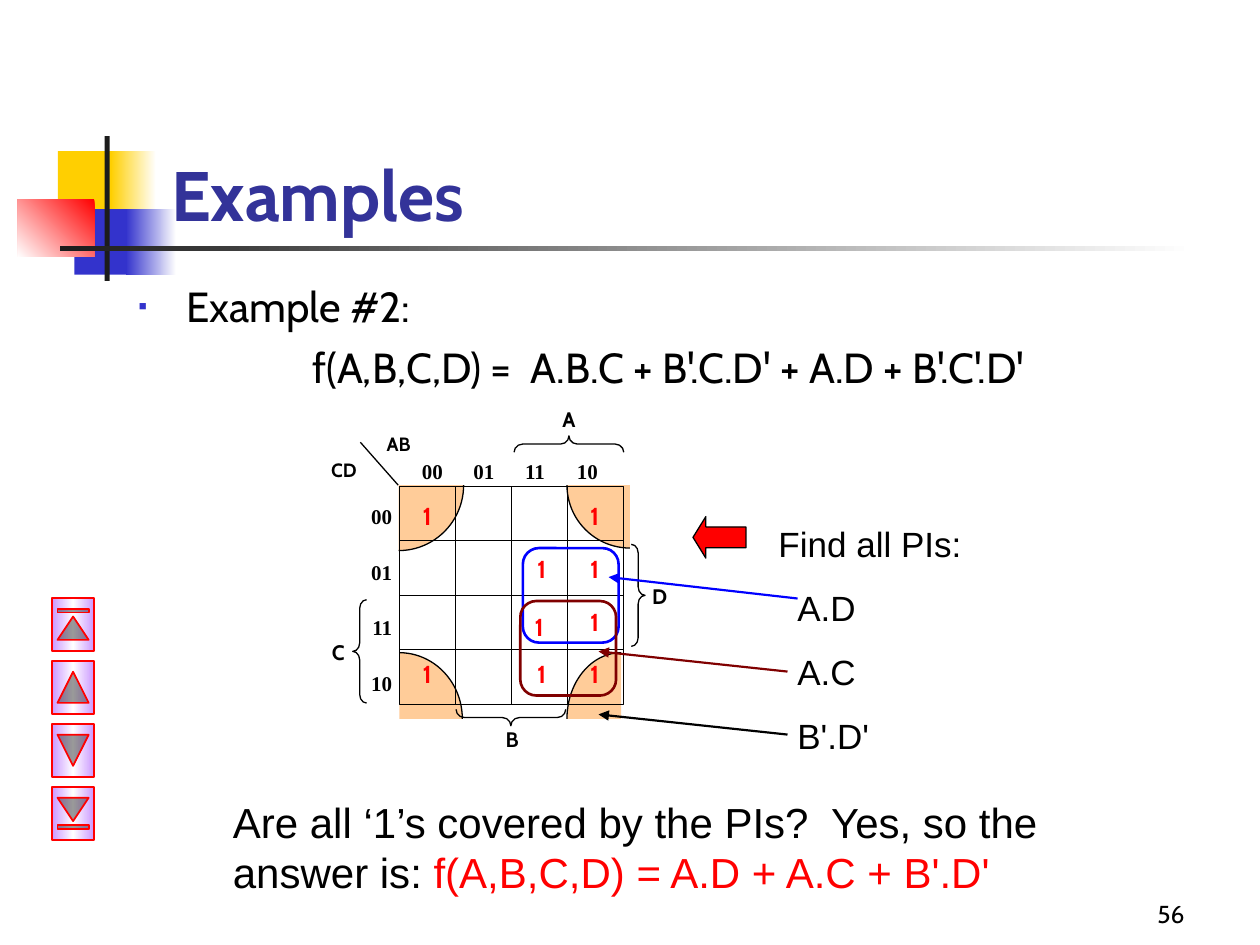
from lxml import etree
from pptx import Presentation
from pptx.dml.color import RGBColor
from pptx.enum.shapes import MSO_CONNECTOR, MSO_SHAPE
from pptx.enum.text import MSO_ANCHOR, PP_ALIGN
from pptx.oxml.ns import qn
from pptx.util import Inches, Pt

RECT, ROUNDED = MSO_SHAPE.RECTANGLE, MSO_SHAPE.ROUNDED_RECTANGLE
ARC, ARROW = MSO_SHAPE.ARC, MSO_SHAPE.LEFT_ARROW
LEFT_BRACE, RIGHT_BRACE = MSO_SHAPE.LEFT_BRACE, MSO_SHAPE.RIGHT_BRACE
NAV_BUTTONS = [MSO_SHAPE.ACTION_BUTTON_BEGINNING,
               MSO_SHAPE.ACTION_BUTTON_BACK_OR_PREVIOUS,
               MSO_SHAPE.ACTION_BUTTON_FORWARD_OR_NEXT,
               MSO_SHAPE.ACTION_BUTTON_END]
STRAIGHT = MSO_CONNECTOR.STRAIGHT
LEFT, CENTER, RIGHT = PP_ALIGN.LEFT, PP_ALIGN.CENTER, PP_ALIGN.RIGHT
TOP, BOTTOM = MSO_ANCHOR.TOP, MSO_ANCHOR.BOTTOM

BLACK, WHITE, RED, BLUE, MAROON = "000000", "FFFFFF", "FF0000", "0000FF", "800000"
INDIGO, YELLOW, DARK, PEACH, LILAC = "3333CC", "FFCF01", "1C1C1C", "FFCC99", "CC99FF"

# Karnaugh map frame
MAP_LEFT, MAP_TOP, MAP_WIDTH, MAP_HEIGHT = 3.17, 3.86, 1.78, 1.73


def color(value):
    return RGBColor.from_string(value)


def set_gradient(shape, colors, angle):
    """Spread the colours evenly, at a clockwise angle in degrees."""
    shape.fill.gradient()
    shape.fill.gradient_angle = (360 - angle) % 360
    stops = shape._element.spPr.find(qn("a:gradFill")).find(qn("a:gsLst"))
    for stop in list(stops):
        stops.remove(stop)
    for index, value in enumerate(colors):
        position = str(100000 * index // (len(colors) - 1))
        stop = etree.SubElement(stops, qn("a:gs"), pos=position)
        etree.SubElement(stop, qn("a:srgbClr"), val=value)


def add_shape(page, kind, box, fill=None, line=None, width=0.75, adjust=(), rotation=0):
    shape = page.shapes.add_shape(kind, *map(Inches, box))
    shape.shadow.inherit = False
    shape.rotation = rotation
    for index, value in enumerate(adjust):
        shape.adjustments[index] = value
    if fill:
        shape.fill.solid()
        shape.fill.fore_color.rgb = color(fill)
    else:
        shape.fill.background()
    if line:
        shape.line.color.rgb = color(line)
        shape.line.width = Pt(width)
    else:
        shape.line.fill.background()
    return shape


def add_line(page, start, end, value=BLACK, width=0.75, arrow=False):
    line = page.shapes.add_connector(STRAIGHT, *map(Inches, (*start, *end)))
    line.line.color.rgb = color(value)
    line.line.width = Pt(width)
    properties = line._element.spPr
    if arrow:
        etree.SubElement(line.line._get_or_add_ln(), qn("a:tailEnd"), type="triangle")
    etree.SubElement(properties, qn("a:effectLst"))


def add_run(para, text, size, font, value=BLACK, bold=False):
    span = para.add_run()
    span.text = text
    span.font.size = Pt(size)
    span.font.name = font
    span.font.bold = bold
    span.font.color.rgb = color(value)


def add_text(page, box, lines, size, font, value=BLACK, bold=False,
             align=LEFT, anchor=TOP, gap=0):
    """Add a text box with one paragraph a line; gap is the space between them."""
    frame = page.shapes.add_textbox(*map(Inches, box)).text_frame
    frame.word_wrap = True
    frame.vertical_anchor = anchor
    for index, text in enumerate(lines):
        para = frame.paragraphs[0] if index == 0 else frame.add_paragraph()
        para.alignment = align
        if index:
            para.space_before = Pt(gap)
        add_run(para, text, size, font, value, bold)
    return frame


def set_indent(para, left, first=0):
    properties = para._p.get_or_add_pPr()
    properties.set("marL", str(Inches(left)))
    properties.set("indent", str(Inches(first)))
    return properties


def add_bullet(properties):
    bullet_color = etree.SubElement(properties, qn("a:buClr"))
    etree.SubElement(bullet_color, qn("a:srgbClr"), val=INDIGO)
    etree.SubElement(properties, qn("a:buSzPct"), val="60000")
    etree.SubElement(properties, qn("a:buFont"), typeface="Arial")
    etree.SubElement(properties, qn("a:buChar"), char="▪")


def add_tabs(para, step, count):
    tabs = etree.SubElement(para._p.get_or_add_pPr(), qn("a:tabLst"))
    for index in range(1, count + 1):
        etree.SubElement(tabs, qn("a:tab"), pos=str(Inches(step * index)), algn="l")


def add_decoration(page):
    for box, fill, angle in [
        ((0.46, 1.2, 0.48, 0.52), [YELLOW], 0),
        ((0.88, 1.2, 0.36, 0.52), [WHITE, YELLOW], 180),
        ((0.59, 1.66, 0.46, 0.52), [INDIGO], 0),
        ((1, 1.66, 0.4, 0.52), [WHITE, INDIGO], 180),
        ((0.14, 1.58, 0.61, 0.46), [RED, WHITE], 135),
        ((0.83, 1.08, 0.04, 1.15), [DARK], 0),
        ((0.48, 1.95, 9, 0.04), [WHITE, DARK], 180),
    ]:
        block = add_shape(page, RECT, box, fill[0])
        if len(fill) > 1:
            set_gradient(block, fill, angle)


def add_navigation(page):
    for index, kind in enumerate(NAV_BUTTONS):
        box = (0.37, 4.79 + 0.5 * index, 0.42, 0.33)
        button = add_shape(page, kind, box, LILAC, RED, 1, rotation=90)
        set_gradient(button, [LILAC, WHITE, LILAC], 90)


def add_map(page):
    # Shaded corners: quarter arcs by start angle in degrees
    for box, start in [
        ((4.5, 5.18, 0.86, 1.05), 180),
        ((2.67, 5.18, 1, 1.05), 270),
        ((4.5, 3.35, 1, 1), 90),
        ((2.65, 3.33, 1.03, 1.04), 0),
    ]:
        # An arc adjustment of 0.6 is one degree
        angles = [start * 0.6, (start + 90) % 360 * 0.6]
        add_shape(page, ARC, box, PEACH, BLACK, adjust=angles)

    # Grid
    right, bottom = MAP_LEFT + MAP_WIDTH, MAP_TOP + MAP_HEIGHT
    add_shape(page, RECT, (MAP_LEFT, MAP_TOP, MAP_WIDTH, MAP_HEIGHT), line=BLACK)
    for index in range(1, 4):
        x = MAP_LEFT + MAP_WIDTH * index / 4
        y = MAP_TOP + MAP_HEIGHT * index / 4
        add_line(page, (x, MAP_TOP), (x, bottom))
        add_line(page, (MAP_LEFT, y), (right, y))
    add_line(page, (3.16, 3.85), (2.86, 3.51))

    # Braces
    for kind, box, curl, rotation in [
        (LEFT_BRACE, (2.8, 4.76, 0.11, 0.82), 0.62, 0),
        (LEFT_BRACE, (4.45, 3.09, 0.13, 0.87), 0.52, 90),
        (LEFT_BRACE, (3.99, 5.26, 0.13, 0.87), 0.52, 270),
        (RIGHT_BRACE, (5.01, 4.32, 0.11, 0.81), 0.62, 0),
    ]:
        add_shape(page, kind, box, line=BLACK, adjust=[curl, 0.5], rotation=rotation)

    # Variable names
    for text, box, size in [
        ("A", (4.35, 3.18, 0.33, 0.27), 12), ("B", (3.9, 5.72, 0.33, 0.26), 12),
        ("C", (2.52, 5.03, 0.33, 0.35), 12), ("D", (5.07, 4.58, 0.33, 0.35), 12),
        ("AB", (2.91, 3.38, 0.51, 0.29), 11), ("CD", (2.42, 3.59, 0.62, 0.29), 11),
    ]:
        add_text(page, box, [text], size, "Cabin", bold=True, align=CENTER)

    # Row and column codes
    codes = ["00", "01", "11", "10"]
    add_text(page, (2.82, 3.95, 0.39, 1.79), codes, 12, "Times New Roman",
             bold=True, align=RIGHT, gap=17.3)
    header = add_text(page, (3.25, 3.59, 1.66, 0.35), ["\t".join(codes)], 12,
                      "Times New Roman", bold=True)
    add_tabs(header.paragraphs[0], 0.41, 3)

    # Ones
    for x, y in [(3.17, 3.93), (4.5, 3.93), (4.08, 4.35), (4.5, 4.35),
                 (4.06, 4.81), (4.5, 4.77), (3.17, 5.18), (4.08, 5.18), (4.5, 5.18)]:
        add_text(page, (x, y, 0.44, 0.35), ["1"], 14, "Cabin", RED, True, CENTER)

    # Groups
    for x, y, value in [(4.15, 4.35, BLUE), (4.13, 4.77, MAROON)]:
        add_shape(page, ROUNDED, (x, y, 0.76, 0.75), line=value, width=1.5, adjust=[0.17])


def add_implicants(page):
    frame = add_text(page, (6.08, 4.1, 2.75, 1.96),
                     ["Find all PIs:", "A.D", "A.C", "B'.D'"], 20, "Arial", gap=12.5)
    for para in frame.paragraphs[1:]:
        set_indent(para, 0.15)
    add_shape(page, ARROW, (5.5, 4.1, 0.42, 0.33), RED, BLACK, adjust=[0.5, 0.31])
    for start, end, value in [((6.33, 4.75), (4.83, 4.58), BLUE),
                              ((6.25, 5.33), (4.75, 5.17), MAROON),
                              ((6.25, 5.83), (4.75, 5.67), BLACK)]:
        add_line(page, start, end, value, 1.25, arrow=True)


def main():
    deck = Presentation()
    deck.slide_width, deck.slide_height = Inches(10), Inches(7.5)
    page = deck.slides.add_slide(deck.slide_layouts[6])

    # Title and function
    add_decoration(page)
    add_text(page, (1.26, 0.67, 8.52, 1.25), ["Examples"], 40, "Cabin", "333399", True,
             anchor=BOTTOM)
    body = add_text(page, (1, 2.18, 8.75, 1.25),
                    ["Example #2:", "f(A,B,C,D) =  A.B.C + B'.C.D' + A.D + B'.C'.D'"],
                    24, "Cabin", gap=6)
    add_bullet(set_indent(body.paragraphs[0], 0.38, -0.38))
    set_indent(body.paragraphs[1], 1.38)

    add_navigation(page)
    add_map(page)
    add_implicants(page)

    # Conclusion and page number
    answer = add_text(page, (1.75, 6.27, 7.75, 0.9),
                      ["Are all ‘1’s covered by the PIs?  Yes, so the answer is: "], 24, "Arial")
    add_run(answer.paragraphs[0], "f(A,B,C,D) = A.D + A.C + B'.D'", 24, "Arial", RED)
    add_text(page, (7.42, 6.92, 2.08, 0.5), ["56"], 14, "Cabin", align=RIGHT, anchor=BOTTOM)

    deck.save("out.pptx")


if __name__ == "__main__":
    main()
